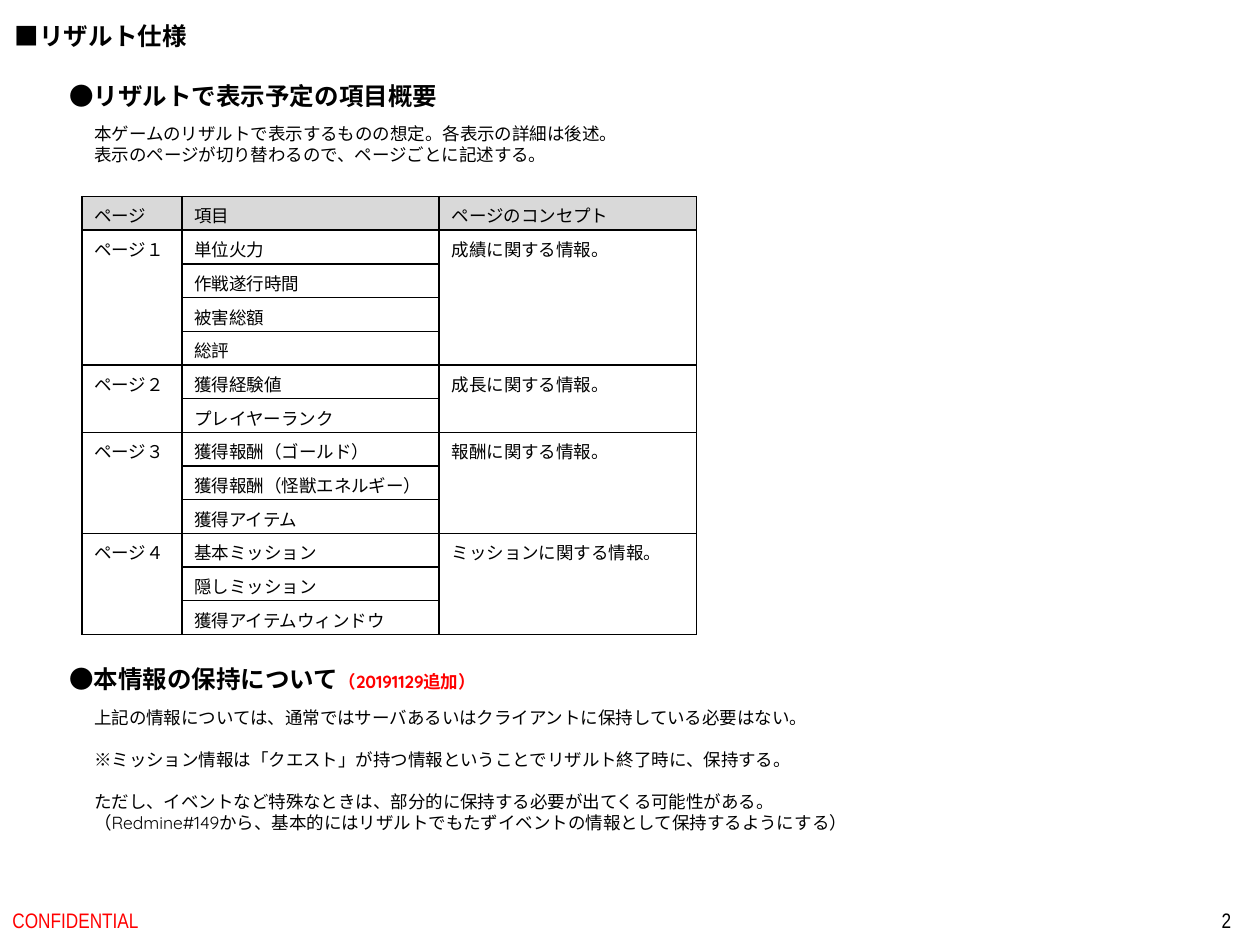
from dataclasses import dataclass

from lxml import etree
from pptx import Presentation
from pptx import util as u
from pptx.dml.color import RGBColor
from pptx.enum import text
from pptx.oxml import ns

Pt = u.Pt
BLACK, RED, GREY = "000000", "FF0000", "D9D9D9"
BODY_FONT, FOOTER_FONT = "Quicksand", "Arial Narrow"
ROW_HEIGHT = 19.2


@dataclass
class Style:
    size: float
    family: str = BODY_FONT
    colour: str = BLACK
    bold: bool = False


@dataclass
class Line:
    words: str
    space_before: float = 0


@dataclass
class Page:
    name: str
    items: list[str]
    concept: str


BODY = Style(10)
HEADING = Style(14, bold=True)
ADDED_NOTE = Style(10, colour=RED, bold=True)

HEADER = ["ページ", "項目", "ページのコンセプト"]
PAGES = [
    Page("ページ１", ["単位火力", "作戦遂行時間", "被害総額", "総評"], "成績に関する情報。"),
    Page("ページ２", ["獲得経験値", "プレイヤーランク"], "成長に関する情報。"),
    Page("ページ３", ["獲得報酬（ゴールド）", "獲得報酬（怪獣エネルギー）", "獲得アイテム"],
         "報酬に関する情報。"),
    Page("ページ４", ["基本ミッション", "隠しミッション", "獲得アイテムウィンドウ"],
         "ミッションに関する情報。"),
]
OVERVIEW = [
    Line("本ゲームのリザルトで表示するものの想定。各表示の詳細は後述。"),
    Line("表示のページが切り替わるので、ページごとに記述する。"),
]
RETENTION = [
    Line("上記の情報については、通常ではサーバあるいはクライアントに保持している必要はない。"),
    Line("※ミッション情報は「クエスト」が持つ情報ということでリザルト終了時に、保持する。", 12),
    Line("ただし、イベントなど特殊なときは、部分的に保持する必要が出てくる可能性がある。", 12),
    Line("（Redmine#149から、基本的にはリザルトでもたずイベントの情報として保持するようにする）"),
]


def rgb(colour: str) -> RGBColor:
    return RGBColor.from_string(colour)


def set_font(font, style: Style) -> None:
    font.size = Pt(style.size)
    font.name = style.family
    font.bold = style.bold
    font.color.rgb = rgb(style.colour)


def add_box(slide, left: float, top: float, width: float, height: float):
    """Add a text box that grows with its unwrapped text."""
    frame = slide.shapes.add_textbox(Pt(left), Pt(top), Pt(width), Pt(height)).text_frame
    frame.word_wrap = False
    frame.auto_size = text.MSO_AUTO_SIZE.SHAPE_TO_FIT_TEXT
    return frame


def write_lines(frame, lines: list[Line], style: Style) -> None:
    for index, line in enumerate(lines):
        paragraph = frame.add_paragraph() if index else frame.paragraphs[0]
        paragraph.text = line.words
        if line.space_before:
            paragraph.space_before = Pt(line.space_before)
        set_font(paragraph.font, style)


def add_footer(slide, left: float, width: float, words: str, colour: str, align) -> None:
    frame = add_box(slide, left, 511.2, width, 28.8)
    frame.word_wrap = True
    frame.auto_size = text.MSO_AUTO_SIZE.NONE
    frame.vertical_anchor = text.MSO_ANCHOR.MIDDLE
    write_lines(frame, [Line(words)], Style(12, FOOTER_FONT, colour))
    frame.paragraphs[0].alignment = align


def add_borders(cell) -> None:
    """Draw a thin black line on all four sides, placed before the fill."""
    properties = cell._tc.get_or_add_tcPr()
    for position, side in enumerate(("lnL", "lnR", "lnT", "lnB")):
        border = etree.Element(ns.qn(f"a:{side}"), w=str(Pt(1)))
        fill = etree.SubElement(border, ns.qn("a:solidFill"))
        etree.SubElement(fill, ns.qn("a:srgbClr"), val=BLACK)
        properties.insert(position, border)


def add_page_table(slide) -> None:
    row_count = 1 + sum(len(page.items) for page in PAGES)
    widths = [57.2, 147, 147]
    table = slide.shapes.add_table(
        row_count, len(widths), Pt(46.8), Pt(112.3),
        Pt(sum(widths)), Pt(row_count * ROW_HEIGHT)).table
    table.first_row = table.horz_banding = False
    for column, width in zip(table.columns, widths):
        column.width = Pt(width)
    for row in table.rows:
        row.height = Pt(ROW_HEIGHT)

    rows = [HEADER]
    for page in PAGES:
        first, last = len(rows), len(rows) + len(page.items) - 1
        for column in (0, 2):
            table.cell(first, column).merge(table.cell(last, column))
        rows += [[page.name if not i else "", item, page.concept if not i else ""]
                 for i, item in enumerate(page.items)]

    for r, row in enumerate(rows):
        for c, words in enumerate(row):
            cell = table.cell(r, c)
            write_lines(cell.text_frame, [Line(words)], BODY)
            if r == 0:
                cell.fill.solid()
                cell.fill.fore_color.rgb = rgb(GREY)
            else:
                cell.fill.background()
            add_borders(cell)


def main() -> None:
    presentation = Presentation()
    presentation.slide_width, presentation.slide_height = Pt(720), Pt(540)
    slide = presentation.slides.add_slide(presentation.slide_layouts[6])

    title = add_box(slide, 1.4, 8.6, 113.8, 24.2)
    write_lines(title, [Line("■リザルト仕様")], Style(14, "Arial", bold=True))
    add_footer(slide, 0, 243.4, "CONFIDENTIAL", RED, text.PP_ALIGN.LEFT)
    add_footer(slide, 548.6, 162, "2", BLACK, text.PP_ALIGN.RIGHT)

    overview_heading = add_box(slide, 32.4, 42.5, 226.8, 24.2)
    write_lines(overview_heading, [Line("●リザルトで表示予定の項目概要")], HEADING)
    write_lines(add_box(slide, 46.8, 67, 317.5, 31.7), OVERVIEW, BODY)
    add_page_table(slide)

    retention_heading = add_box(slide, 32.4, 375.8, 260.6, 24.2).paragraphs[0]
    for words, style in (("●本情報の保持について", HEADING), ("（20191129追加）", ADDED_NOTE)):
        run = retention_heading.add_run()
        run.text = words
        set_font(run.font, style)
    write_lines(add_box(slide, 46.8, 400.3, 455.8, 79.9), RETENTION, BODY)

    presentation.save("out.pptx")


if __name__ == "__main__":
    main()
